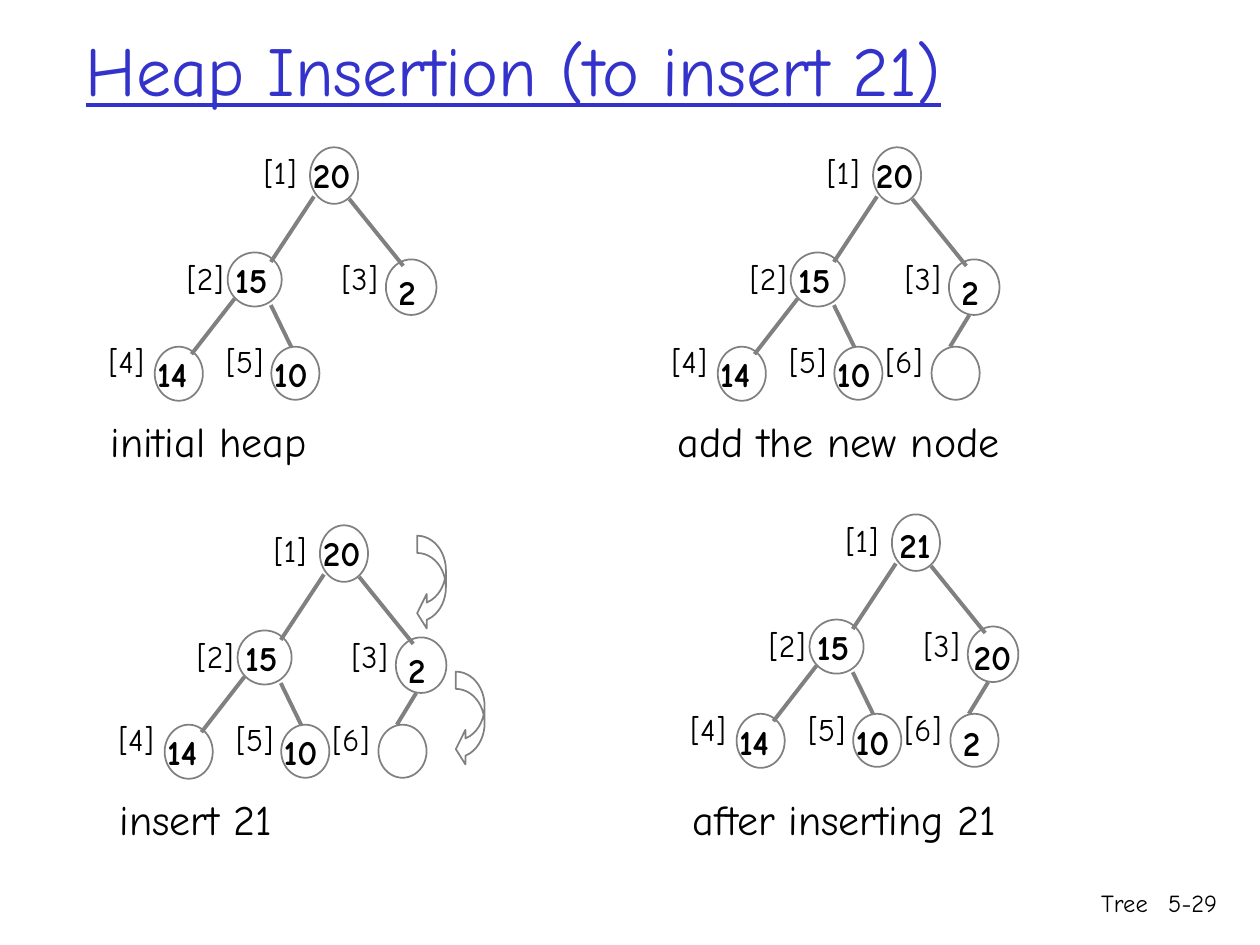
import pptx
import pptx.util
import pptx.dml.color
import pptx.enum.shapes
import pptx.enum.text
import pptx.oxml
from dataclasses import dataclass
from pptx.util import Cm


@dataclass(frozen=True)
class Theme:
    font: str = "Comic Neue"
    title_color: str = "3333CC"
    text_color: str = "000000"
    line_color: str = "808080"
    title_size: float = 40
    caption_size: float = 24
    key_size: float = 20
    index_size: float = 18
    footer_size: float = 14
    outline_width: float = 1
    edge_width: float = 2.25


theme = Theme()
rgb = pptx.dml.color.RGBColor.from_string
alignments = pptx.enum.text.PP_ALIGN
shape_types = pptx.enum.shapes.MSO_SHAPE


def add_text(shapes, text, left, top, width, height, size, bold=False, align=alignments.LEFT, wrap=False):
    box = shapes.add_textbox(Cm(left), Cm(top), Cm(width), Cm(height))
    box.text_frame.word_wrap = wrap
    box.text_frame.auto_size = pptx.enum.text.MSO_AUTO_SIZE.SHAPE_TO_FIT_TEXT
    paragraph = box.text_frame.paragraphs[0]
    paragraph.text = text
    paragraph.alignment = align
    paragraph.font.name = theme.font
    paragraph.font.size = pptx.util.Pt(size)
    paragraph.font.bold = bold
    paragraph.font.color.rgb = rgb(theme.text_color)


def add_outline(shapes, kind, left, top, width, height):
    shape = shapes.add_shape(kind, Cm(left), Cm(top), Cm(width), Cm(height))
    shape.shadow.inherit = False
    shape.fill.background()
    shape.line.color.rgb = rgb(theme.line_color)
    shape.line.width = pptx.util.Pt(theme.outline_width)
    return shape


presentation = pptx.Presentation()
presentation.slide_width = Cm(25.4)
presentation.slide_height = Cm(19.05)
slide = presentation.slides.add_slide(presentation.slide_layouts[5])

title = slide.shapes.title
title.left, title.top, title.width, title.height = Cm(1.47), Cm(0.64), Cm(21.59), Cm(1.47)
title.text_frame.auto_size = pptx.enum.text.MSO_AUTO_SIZE.NONE
title.text_frame.vertical_anchor = pptx.enum.text.MSO_ANCHOR.MIDDLE
paragraph = title.text_frame.paragraphs[0]
paragraph.text = "Heap Insertion (to insert 21)"
paragraph.alignment = alignments.LEFT
paragraph.font.name = theme.font
paragraph.font.size = pptx.util.Pt(theme.title_size)
paragraph.font.underline = True
paragraph.font.color.rgb = rgb(theme.title_color)

# Node ellipse, key offset within the node, index label position; all relative to the root
nodes = [
    ((0, 0, 0.97, 1.14), (-0.19, 0), (-1.18, 0)),
    ((-1.66, 2.12, 1.09, 1.09), (-0.1, 0), (-2.73, 2.12)),
    ((1.53, 2.26, 1.02, 1.12), (0, 0.1), (0.39, 2.12)),
    ((-3.13, 4.02, 0.97, 1.09), (-0.2, 0), (-4.31, 3.81)),
    ((-0.78, 4.02, 0.97, 1.07), (-0.2, 0), (-1.94, 3.81)),
    ((1.18, 4.02, 0.97, 1.07), (0, 0.04), (0, 3.81)),
]
edges = [
    (0.08, 0.99, -0.79, 2.31),
    (0.79, 1.04, 1.88, 2.39),
    (-1.52, 3.05, -2.39, 4.17),
    (-0.79, 3.18, -0.38, 4.02),
    (1.94, 3.38, 1.55, 4.02),
]
heaps = [
    (6.25, 2.97, ["20", "15", "2", "14", "10"], {}, ("initial heap", 1.98, 8.26, 4.88)),
    (17.6, 2.97, ["20", "15", "2", "14", "10", ""], {}, ("add the new node", 13.41, 8.26, 7.44)),
    (6.45, 10.59, ["20", "15", "2", "14", "10", ""], {}, ("insert 21", 2.16, 15.88, 4.06)),
    (17.98, 10.37, ["21", "15", "20", "14", "10", "2"], {0: (-0.1, 0.05), 2: (-0.13, 0.05)},
     ("after inserting 21", 13.72, 15.88, 7.6)),
]

for root_left, root_top, keys, moved_keys, (caption, caption_left, caption_top, caption_width) in heaps:
    group = slide.shapes.add_group_shape()
    for position, key in enumerate(keys):
        (left, top, width, height), key_offset, (index_left, index_top) = nodes[position]
        left, top = root_left + left, root_top + top
        add_outline(group.shapes, shape_types.OVAL, left, top, width, height)
        if key:
            key_left, key_top = moved_keys.get(position, key_offset)
            add_text(group.shapes, key, left + key_left, top + key_top,
                     0.94 if len(key) == 1 else 1.4, 1.12, theme.key_size, bold=True)
        add_text(group.shapes, f"[{position + 1}]", root_left + index_left, root_top + index_top,
                 1.27 if position == 0 else 1.4, 1.02, theme.index_size)
    for start_left, start_top, end_left, end_top in edges[:len(keys) - 1]:
        edge = group.shapes.add_connector(
            pptx.enum.shapes.MSO_CONNECTOR.STRAIGHT,
            Cm(root_left + start_left), Cm(root_top + start_top),
            Cm(root_left + end_left), Cm(root_top + end_top))
        edge.line.color.rgb = rgb(theme.line_color)
        edge.line.width = pptx.util.Pt(theme.edge_width)
        edge._element.spPr.append(pptx.oxml.parse_xml(
            '<a:effectLst xmlns:a="http://schemas.openxmlformats.org/drawingml/2006/main"/>'))
    add_text(slide.shapes, caption, caption_left, caption_top, caption_width, 1.27, theme.caption_size)

for left, top in [(8.41, 10.8), (9.19, 13.54)]:
    arrow = add_outline(slide.shapes, shape_types.CURVED_LEFT_ARROW, left, top, 0.58, 1.91)
    for number, value in enumerate((0.6, 1.2, 0.333)):
        arrow.adjustments[number] = value

for text, left, width in [("Tree", 15.34, 8.05), ("5-29", 23.06, 1.73)]:
    add_text(slide.shapes, text, left, 17.78, width, 1.27, theme.footer_size, align=alignments.RIGHT, wrap=True)

presentation.save("out.pptx")
